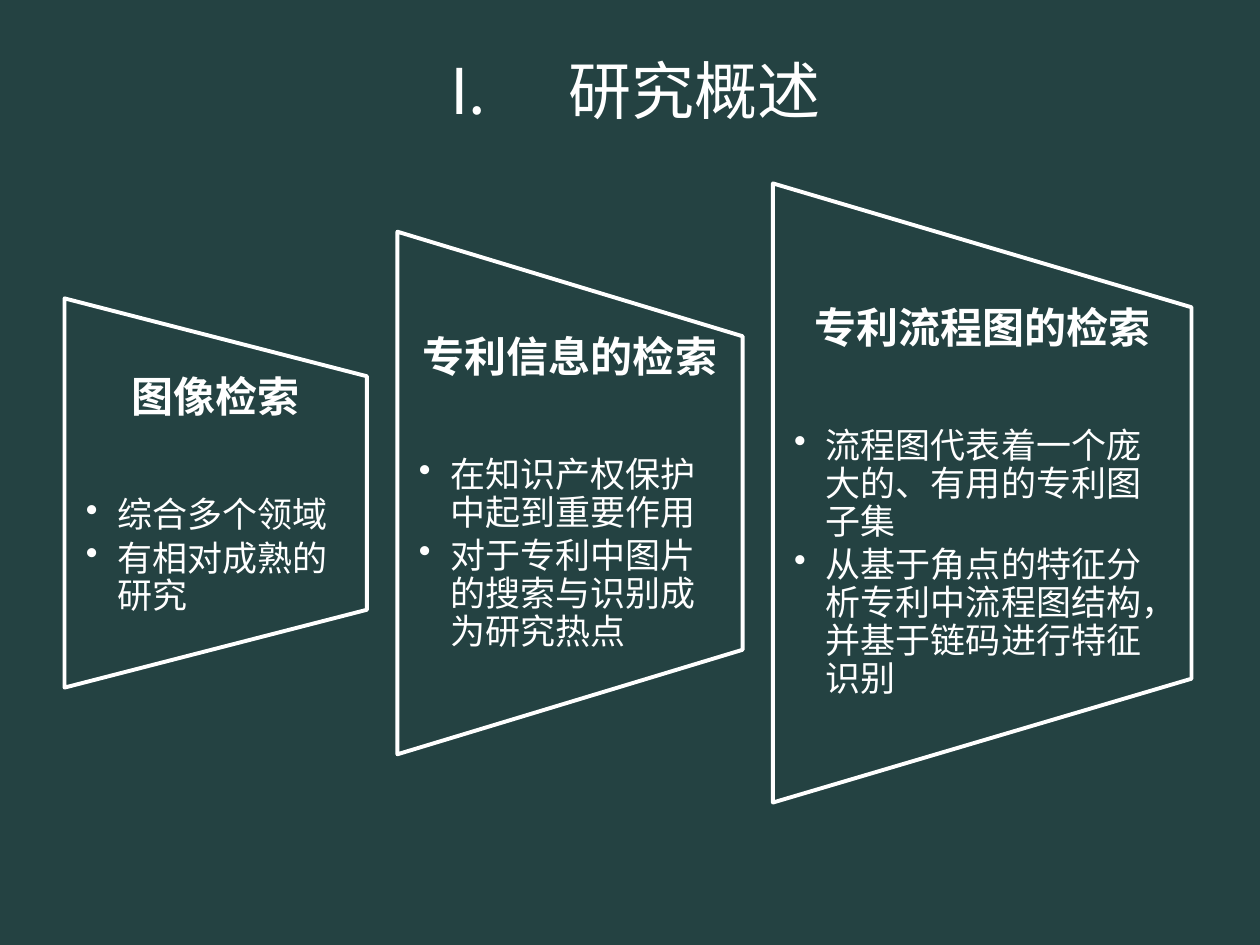
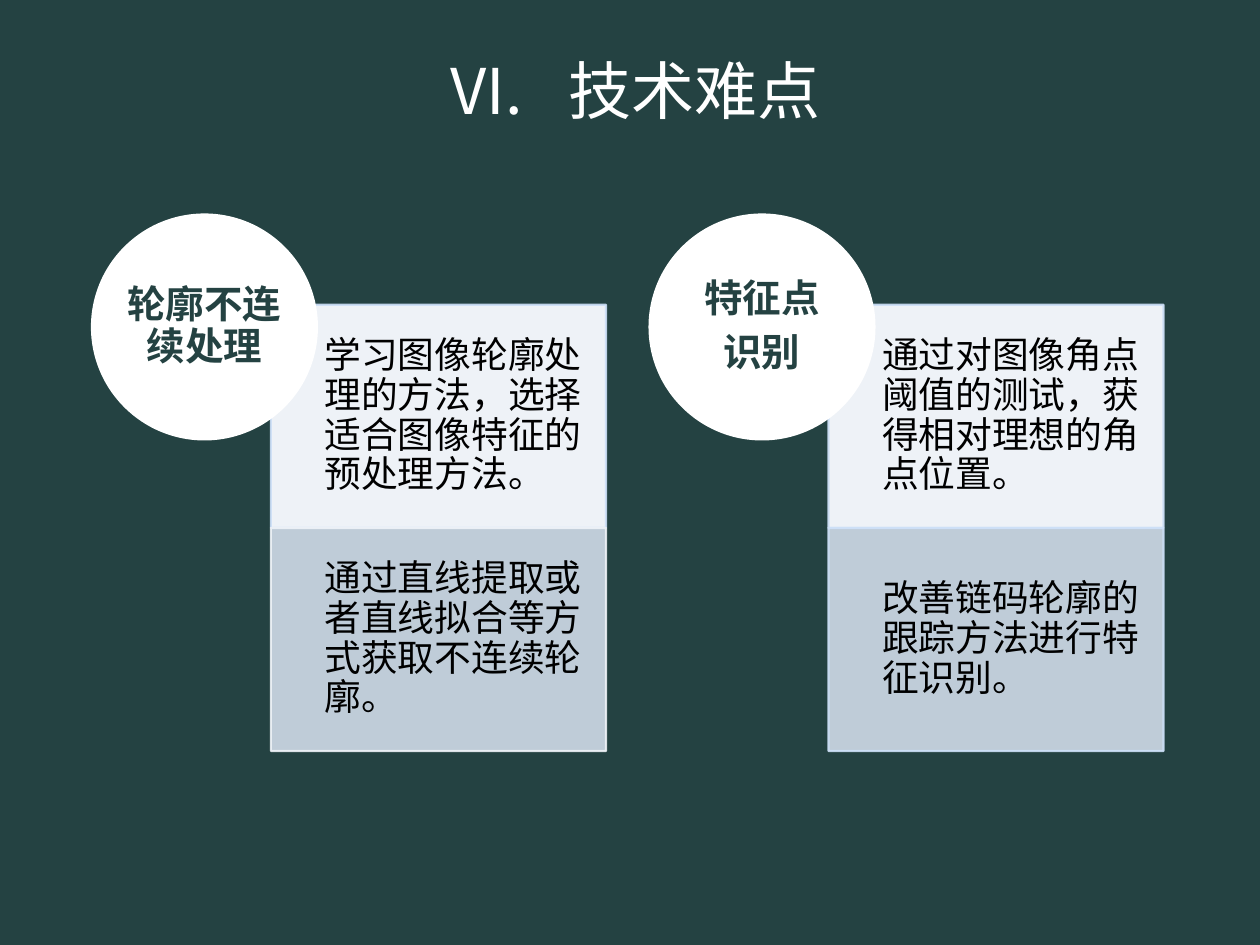
from dataclasses import dataclass

from lxml import etree
from pptx import Presentation
from pptx.dml.color import RGBColor
from pptx.enum.shapes import MSO_SHAPE
from pptx.enum.text import MSO_ANCHOR, MSO_AUTO_SIZE, PP_ALIGN
from pptx.oxml.ns import qn
from pptx.util import Pt

TRAPEZOID = MSO_SHAPE.FLOWCHART_MANUAL_OPERATION
RECTANGLE = MSO_SHAPE.RECTANGLE
OVAL = MSO_SHAPE.OVAL
LEFT, CENTER = PP_ALIGN.LEFT, PP_ALIGN.CENTER
TOP, MIDDLE = MSO_ANCHOR.TOP, MSO_ANCHOR.MIDDLE

COLORS = {
    "background": "244242",
    "white": "FFFFFF",
    "black": "000000",
    "upper_fill": "EEF2F7",
    "lower_fill": "D0DBE9",
    "pale_blue": "CDE0F8",
}
TITLE_FONT = "Noto Sans CJK JP"
BODY_FONT = "Calibri"
LINE_SPACING = 0.9

# Trapezoid panels
PANELS_LEFT = 36.9
PANEL_GAP = 17.4
PANEL_MIDDLE = 281.7
PANEL_TEXT_SHARE = 0.6

# Topic blocks: a circle over two stacked boxes
TOPICS_LEFT = 53.1
TOPIC_STEP = 318.6
CIRCLE_TOP = 123.1
CIRCLE_SIZE = 127.5
BOX_OFFSET = 101.7
BOX_TOP = 174.2
BOX_WIDTH = 191.5


@dataclass
class Panel:
    width: float
    height: float
    heading: str
    points: list[str]


@dataclass
class Topic:
    name: list[str]
    upper: str
    lower: str
    lower_line: str


PANELS = [
    Panel(172.8, 222.4, "图像检索", ["综合多个领域", "有相对成熟的研究"]),
    Panel(197.2, 298.6, "专利信息的检索",
          ["在知识产权保护中起到重要作用", "对于专利中图片的搜索与识别成为研究热点"]),
    Panel(239.2, 353.8, "专利流程图的检索",
          ["流程图代表着一个庞大的、有用的专利图子集",
           "从基于角点的特征分析专利中流程图结构，并基于链码进行特征识别"]),
]

TOPICS = [
    Topic(["轮廓不连续处理"],
          "学习图像轮廓处理的方法，选择适合图像特征的预处理方法。",
          "通过直线提取或者直线拟合等方式获取不连续轮廓。", "upper_fill"),
    Topic(["特征点", "识别"],
          "通过对图像角点阈值的测试，获得相对理想的角点位置。",
          "改善链码轮廓的跟踪方法进行特征识别。", "pale_blue"),
]


def rgb(name: str) -> RGBColor:
    return RGBColor.from_string(COLORS[name])


def set_opacity(fill, percent: int) -> None:
    """Set the opacity of a solid fill through its colour element."""
    color = fill._xPr.find(qn("a:solidFill"))[0]
    etree.SubElement(color, qn("a:alpha"), val=str(percent * 1000))


def set_bullet(paragraph, indent: float, tag: str, **attributes: str) -> None:
    properties = paragraph._p.get_or_add_pPr()
    properties.set("marL", str(Pt(indent)))
    properties.set("indent", str(-Pt(indent)))
    etree.SubElement(properties, qn(tag), **attributes)


def format_paragraph(paragraph, size: float, color: str, align=LEFT,
                     bold: bool = False, after: float = 0,
                     font_name: str = BODY_FONT) -> None:
    paragraph.alignment = align
    paragraph.line_spacing = LINE_SPACING
    paragraph.space_before = Pt(0)
    paragraph.space_after = Pt(after)
    font = paragraph.font
    font.name, font.size, font.bold = font_name, Pt(size), bold
    font.color.rgb = rgb(color)
    # Chinese text takes its typeface from the East Asian slot
    etree.SubElement(font._element, qn("a:ea"), typeface=font_name)


def prepare_frame(frame, anchor, left: float = 0, top: float = 0,
                  right: float = 0, bottom: float = 0) -> None:
    frame.word_wrap = True
    frame.auto_size = MSO_AUTO_SIZE.NONE
    frame.vertical_anchor = anchor
    frame.margin_left, frame.margin_top = Pt(left), Pt(top)
    frame.margin_right, frame.margin_bottom = Pt(right), Pt(bottom)


def add_paragraph(frame, index: int, text: str):
    paragraph = frame.add_paragraph() if index else frame.paragraphs[0]
    paragraph.text = text
    return paragraph


def add_box(slide, kind, left: float, top: float, width: float, height: float,
            fill: str, line: str, line_width: float):
    shape = slide.shapes.add_shape(kind, Pt(left), Pt(top), Pt(width), Pt(height))
    shape.shadow.inherit = False
    shape.fill.solid()
    shape.fill.fore_color.rgb = rgb(fill)
    shape.line.color.rgb = rgb(line)
    shape.line.width = Pt(line_width)
    return shape


def add_titled_slide(presentation, number: int, text: str):
    slide = presentation.slides.add_slide(presentation.slide_layouts[5])
    title = slide.shapes.title
    title.left, title.top, title.width, title.height = Pt(53.3), Pt(26.6), Pt(620), Pt(54)
    prepare_frame(title.text_frame, MIDDLE, 7.2, 3.6, 7.2, 3.6)
    paragraph = add_paragraph(title.text_frame, 0, text)
    set_bullet(paragraph, 67.7, "a:buAutoNum", type="romanUcPeriod", startAt=str(number))
    format_paragraph(paragraph, 36, "white", CENTER, font_name=TITLE_FONT)
    return slide


def draw_panel(slide, panel: Panel, left: float) -> None:
    # The preset is turned a quarter, so its width is the panel's height
    shape = add_box(slide, TRAPEZOID, left + (panel.width - panel.height) / 2,
                    PANEL_MIDDLE - panel.width / 2, panel.height, panel.width,
                    "background", "white", 2.25)
    shape.rotation = 270

    text_height = panel.height * PANEL_TEXT_SHARE
    text_box = slide.shapes.add_textbox(Pt(left), Pt(PANEL_MIDDLE - text_height / 2),
                                        Pt(panel.width), Pt(text_height))
    frame = text_box.text_frame
    prepare_frame(frame, TOP, left=12.2, right=12.2)
    heading = add_paragraph(frame, 0, panel.heading)
    format_paragraph(heading, 24, "white", CENTER, bold=True, after=43.5)
    for index, point in enumerate(panel.points, start=1):
        paragraph = add_paragraph(frame, index, point)
        set_bullet(paragraph, 18, "a:buChar", char="•")
        format_paragraph(paragraph, 20, "white", after=3)


def draw_topic(slide, topic: Topic, left: float) -> None:
    boxes = [(topic.upper, "upper_fill", "pale_blue", 100),
             (topic.lower, "lower_fill", topic.lower_line, 90)]
    for row, (text, fill, line, opacity) in enumerate(boxes):
        box = add_box(slide, RECTANGLE, left + BOX_OFFSET, BOX_TOP + row * CIRCLE_SIZE,
                      BOX_WIDTH, CIRCLE_SIZE, fill, line, 1.25)
        set_opacity(box.fill, opacity)
        set_opacity(box.line.fill, 90)
        prepare_frame(box.text_frame, MIDDLE, 30.6, 11.5, 11.5, 11.5)
        format_paragraph(add_paragraph(box.text_frame, 0, text), 21, "black")

    circle = add_box(slide, OVAL, left, CIRCLE_TOP, CIRCLE_SIZE, CIRCLE_SIZE,
                     "white", "white", 2.25)
    prepare_frame(circle.text_frame, MIDDLE)
    for index, text in enumerate(topic.name):
        paragraph = add_paragraph(circle.text_frame, index, text)
        format_paragraph(paragraph, 22, "background", CENTER, bold=True, after=7.5)


def main() -> None:
    presentation = Presentation()
    presentation.slide_width, presentation.slide_height = Pt(720), Pt(540)
    background = presentation.slide_master.background.fill
    background.solid()
    background.fore_color.rgb = rgb("background")

    # Research overview
    slide = add_titled_slide(presentation, 1, "研究概述")
    left = PANELS_LEFT
    for panel in PANELS:
        draw_panel(slide, panel, left)
        left += panel.width + PANEL_GAP

    # Technical difficulties
    slide = add_titled_slide(presentation, 6, "技术难点")
    for column, topic in enumerate(TOPICS):
        draw_topic(slide, topic, TOPICS_LEFT + column * TOPIC_STEP)

    presentation.save("out.pptx")


if __name__ == "__main__":
    main()
